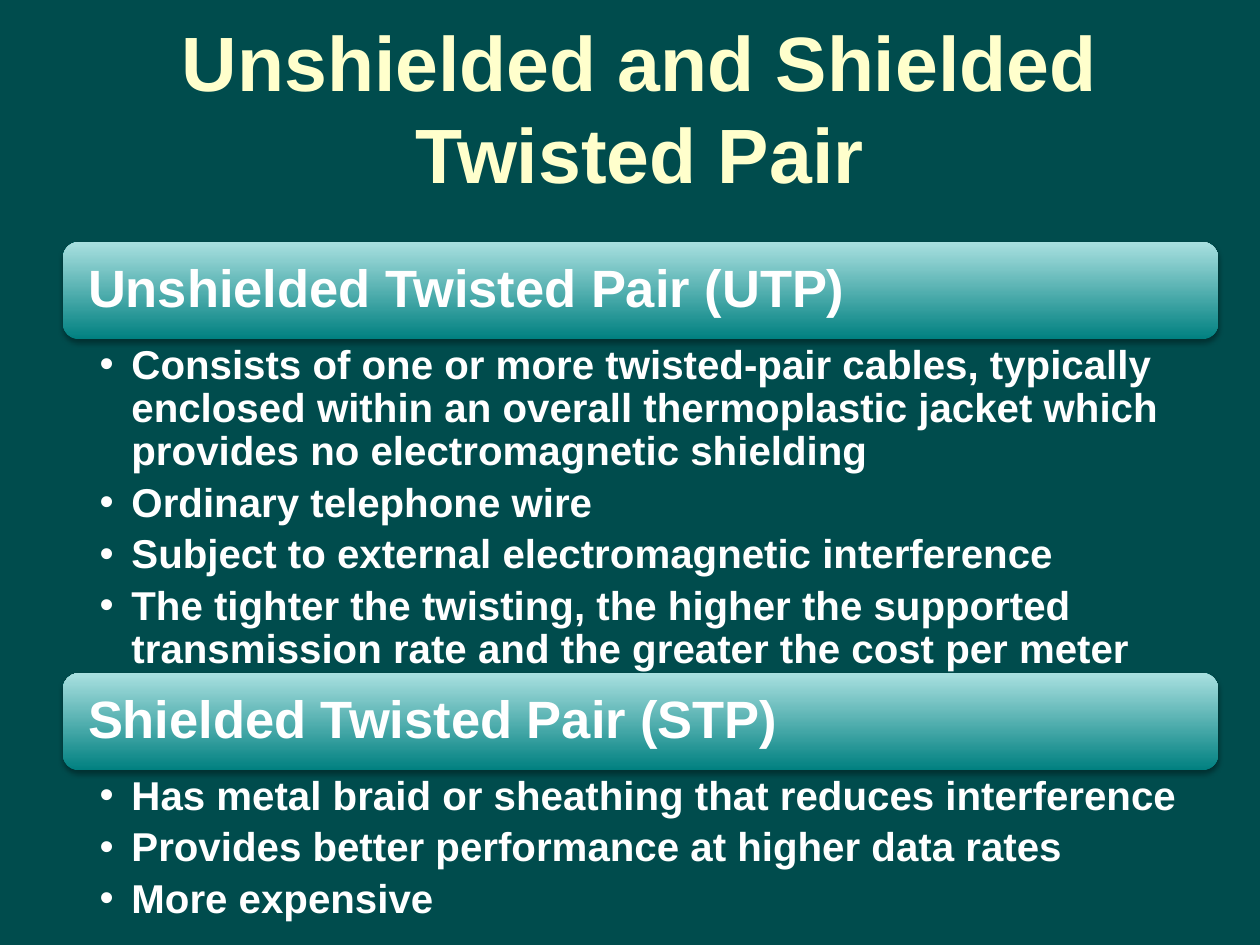
from lxml.etree import SubElement
from pptx import Presentation
from pptx.dml.color import RGBColor
from pptx.enum.shapes import MSO_SHAPE
from pptx.enum.text import MSO_ANCHOR, MSO_AUTO_SIZE, PP_ALIGN
from pptx.oxml.ns import qn
from pptx.util import Cm, Pt

PARTS = [
    ("Unshielded Twisted Pair (UTP)", 6.73, [
        "Consists of one or more twisted-pair cables, typically enclosed within "
        "an overall thermoplastic jacket which provides no electromagnetic shielding",
        "Ordinary telephone wire",
        "Subject to external electromagnetic interference",
        "The tighter the twisting, the higher the supported transmission rate "
        "and the greater the cost per meter",
    ]),
    ("Shielded Twisted Pair (STP)", 3.1, [
        "Has metal braid or sheathing that reduces interference",
        "Provides better performance at higher data rates",
        "More expensive",
    ]),
]


def tint(code):
    return RGBColor.from_string(code)


def write(par, text, size, color="FFFFFF", align=PP_ALIGN.LEFT, line=0.9, after=0):
    """Put one bold run of text into a paragraph."""
    par.alignment = align
    par.line_spacing = line
    par.space_before = Pt(0)
    par.space_after = Pt(after)
    run = par.add_run()
    run.text = text
    font = run.font
    font.name, font.size, font.bold = "Arial", Pt(size), True
    font.color.rgb = tint(color)


def frame(shape, anchor, side=(0.25, 0.25), edge=0.13):
    """Set up the text frame of a shape and return it."""
    body = shape.text_frame
    body.word_wrap = True
    body.auto_size = MSO_AUTO_SIZE.NONE
    body.vertical_anchor = anchor
    body.margin_left, body.margin_right = (Cm(n) for n in side)
    body.margin_top = body.margin_bottom = Cm(edge)
    return body


def place(shape, left, top, width, height):
    shape.left, shape.top = Cm(left), Cm(top)
    shape.width, shape.height = Cm(width), Cm(height)


class Deck:
    left, width, bar = 1.27, 23.29, 1.96
    ground, cream = "004C4D", "FFFFCC"
    dark, light = "008080", "A9E0E0"

    def __init__(self, slide):
        self.slide = slide
        fill = slide.background.fill
        fill.solid()
        fill.fore_color.rgb = tint(self.ground)

    def title(self, text):
        shape = self.slide.shapes.title
        place(shape, 1.47, 0.43, 22.86, 3.45)
        body = frame(shape, MSO_ANCHOR.MIDDLE)
        write(body.paragraphs[0], text, 44, color=self.cream,
              align=PP_ALIGN.CENTER, line=1.0)

    def banner(self, text, top):
        shape = self.slide.shapes.add_shape(
            MSO_SHAPE.ROUNDED_RECTANGLE,
            Cm(self.left), Cm(top), Cm(self.width), Cm(self.bar))
        shape.line.fill.background()
        shape.fill.gradient()
        shape.fill.gradient_angle = 90
        for stop, code in zip(shape.fill.gradient_stops, (self.dark, self.light)):
            stop.color.rgb = tint(code)
        self.shade(shape)
        body = frame(shape, MSO_ANCHOR.MIDDLE, side=(0.41, 0.41), edge=0.41)
        write(body.paragraphs[0], text, 30)

    def shade(self, shape):
        """Soft shadow straight below the shape."""
        shape.shadow.inherit = False
        effects = shape.element.spPr.find(qn("a:effectLst"))
        outer = SubElement(effects, qn("a:outerShdw"), blurRad=str(Pt(3.1)),
                           dist=str(Pt(1.8)), dir="5400000", rotWithShape="0")
        black = SubElement(outer, qn("a:srgbClr"), val="000000")
        SubElement(black, qn("a:alpha"), val="35000")

    def bullets(self, shape, items, top, height):
        place(shape, self.left, top, self.width, height)
        body = frame(shape, MSO_ANCHOR.TOP, side=(0.74, 0.58), edge=0.1)
        for i, item in enumerate(items):
            par = body.add_paragraph() if i else body.paragraphs[0]
            par.level = 1
            write(par, item, 23, after=4.6)
            props = par._p.get_or_add_pPr()
            props.set("marL", str(Cm(0.64)))
            props.set("indent", str(-Cm(0.64)))
            SubElement(props, qn("a:buFont"), typeface="Arial")
            SubElement(props, qn("a:buChar"), char="•")


def main():
    prs = Presentation()
    prs.slide_width, prs.slide_height = Cm(25.4), Cm(19.05)
    # Layout with a title and two body placeholders
    slide = prs.slides.add_slide(prs.slide_layouts[3])
    deck = Deck(slide)
    deck.title("Unshielded and Shielded Twisted Pair")

    # Banners and lists stacked without gaps
    top = 4.88
    for index, (head, height, items) in enumerate(PARTS, 1):
        deck.banner(head, top)
        top += deck.bar
        deck.bullets(slide.placeholders[index], items, top, height)
        top += height

    prs.save("out.pptx")


if __name__ == "__main__":
    main()
